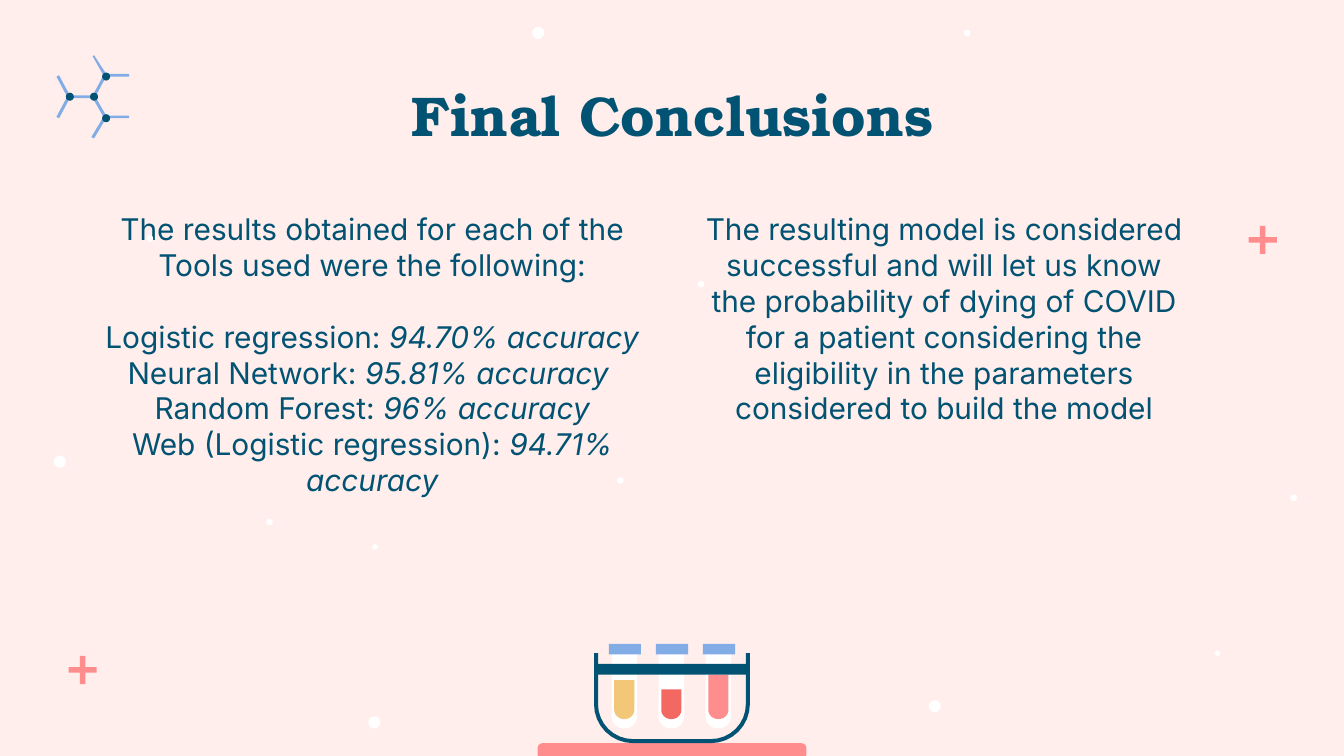
from dataclasses import dataclass
from math import cos, pi, sin

from lxml.etree import SubElement
from pptx import Presentation
from pptx.dml.color import RGBColor
from pptx.enum.shapes import MSO_SHAPE
from pptx.enum.text import MSO_ANCHOR, MSO_AUTO_SIZE, PP_ALIGN
from pptx.oxml.ns import qn
from pptx.util import Inches, Pt


@dataclass(frozen=True)
class Theme:
    back: str = "FFEEEB"
    ink: str = "025373"
    blue: str = "81ACE6"
    pink: str = "FF8D8D"
    red: str = "F46862"
    gold: str = "F2C777"
    white: str = "FFFFFF"
    head: str = "TeX Gyre Bonum"
    text: str = "Inter"
    head_size: float = 30
    text_size: float = 16
    gap: float = 19.2


def cup(left, top, right, low, r):
    """Points of a U: down the left side, round both corners, up the right."""
    turns = [k * pi / 16 for k in range(9)]
    first = [(left + r - r * cos(a), low - r + r * sin(a)) for a in turns]
    last = [(right - r + r * sin(a), low - r + r * cos(a)) for a in turns]
    return [(left, top), *first, *last, (right, top)]


class Board:
    def __init__(self, slide, theme):
        self.slide, self.theme = slide, theme
        self.shapes = slide.shapes
        fill = slide.background.fill
        fill.solid()
        fill.fore_color.rgb = RGBColor.from_string(theme.back)

    def paint(self, shape, color):
        shape.shadow.inherit = False
        shape.fill.solid()
        shape.fill.fore_color.rgb = RGBColor.from_string(color)
        shape.line.fill.background()
        return shape

    def block(self, kind, x, y, w, h, color, adjust=None):
        shape = self.shapes.add_shape(kind, Inches(x), Inches(y), Inches(w), Inches(h))
        if adjust is not None:
            shape.adjustments[0] = adjust
        return self.paint(shape, color)

    def dot(self, x, y, size, color):
        return self.block(MSO_SHAPE.OVAL, x, y, size, size, color)

    def bar(self, x, y, w, h, color):
        return self.block(MSO_SHAPE.RECTANGLE, x, y, w, h, color)

    def outline(self, points, color):
        spots = [(Inches(x), Inches(y)) for x, y in points]
        pen = self.shapes.build_freeform(*spots[0])
        pen.add_line_segments(spots[1:], close=True)
        return self.paint(pen.convert_to_shape(), color)

    def tube(self, x, level, color):
        self.outline(cup(x, 4.85, x + 0.19, 5.42, 0.09), self.theme.white)
        self.outline(cup(x + 0.02, level, x + 0.17, 5.35, 0.07), color)
        self.bar(x - 0.02, 4.79, 0.24, 0.08, self.theme.blue)

    def place(self, holder, x, y, w, h, anchor):
        holder.left, holder.top = Inches(x), Inches(y)
        holder.width, holder.height = Inches(w), Inches(h)
        self.shapes._spTree.append(holder._element)  # bring above the backdrop
        frame = holder.text_frame
        frame.word_wrap, frame.auto_size = True, MSO_AUTO_SIZE.NONE
        frame.vertical_anchor = anchor
        frame.margin_left = frame.margin_right = Inches(0.1)
        frame.margin_top = frame.margin_bottom = Inches(0.1)
        return frame

    def run(self, para, text, name, size, bold=False, italic=False):
        run = para.add_run()
        run.text = text
        font = run.font
        font.name, font.size = name, Pt(size)
        font.bold, font.italic = bold, italic
        font.color.rgb = RGBColor.from_string(self.theme.ink)

    def title(self, text, *box):
        frame = self.place(self.shapes.title, *box, MSO_ANCHOR.BOTTOM)
        para = frame.paragraphs[0]
        para.alignment = PP_ALIGN.CENTER
        self.run(para, text, self.theme.head, self.theme.head_size, bold=True)

    def body(self, index, lines, *box):
        """Each line is (plain text, italic text, space before)."""
        frame = self.place(self.slide.placeholders[index], *box, MSO_ANCHOR.TOP)
        for k, (plain, slant, gap) in enumerate(lines):
            para = frame.add_paragraph() if k else frame.paragraphs[0]
            props = para._p.get_or_add_pPr()
            props.set("marL", "0")
            props.set("indent", "0")
            SubElement(props, qn("a:buNone"))
            para.alignment = PP_ALIGN.CENTER
            para.space_before = Pt(gap)
            self.run(para, plain, self.theme.text, self.theme.text_size)
            if slant:
                self.run(para, slant, self.theme.text, self.theme.text_size, italic=True)


def main():
    deck = Presentation()
    deck.slide_width, deck.slide_height = Inches(10), Inches(10 * 9 / 16)
    theme = Theme()
    board = Board(deck.slides.add_slide(deck.slide_layouts[3]), theme)

    # Backdrop dots and plus signs
    for x, y, size in [
        (7.17, 0.22, 0.05), (9.04, 4.84, 0.04), (2.77, 4.05, 0.04),
        (2.74, 5.33, 0.09), (9.6, 3.68, 0.05), (6.91, 5.21, 0.09),
        (3.96, 0.2, 0.09), (0.4, 3.39, 0.09), (1.98, 3.86, 0.05),
    ]:
        board.dot(x, y, size, theme.white)
    for x, y in [(0.51, 4.88), (9.29, 1.68)]:
        board.block(MSO_SHAPE.CROSS, x, y, 0.21, 0.21, theme.pink, 0.4)

    # Molecule: bonds, then atoms
    board.outline([
        (0.42, 0.87), (0.44, 0.88), (0.52, 0.73), (0.69, 0.73), (0.77, 0.87),
        (0.68, 1.02), (0.7, 1.03), (0.79, 0.88), (0.96, 0.88), (0.96, 0.86),
        (0.79, 0.86), (0.71, 0.72), (0.79, 0.57), (0.96, 0.57), (0.96, 0.55),
        (0.79, 0.55), (0.7, 0.41), (0.69, 0.42), (0.77, 0.56), (0.69, 0.71),
        (0.52, 0.71), (0.44, 0.56), (0.42, 0.57), (0.5, 0.72),
    ], theme.blue)
    for x, y in [(0.76, 0.85), (0.67, 0.69), (0.49, 0.69), (0.76, 0.54)]:
        board.dot(x, y, 0.06, theme.ink)

    # Text
    board.body(1, [
        ("The results obtained for each of the Tools used were the following:", "", 0),
        ("Logistic regression: ", "94.70% accuracy", theme.gap),
        ("Neural Network:", " 95.81% accuracy ", 0),
        ("Random Forest: ", "96% accuracy", 0),
        ("Web (Logistic regression): ", "94.71% accuracy", 0),
    ], 0.62, 1.47, 4.3, 2.97)
    board.body(2, [
        ("The resulting model is considered successful and will let us know "
         "the probability of dying of COVID for a patient considering the "
         "eligibility in the parameters considered to build the model", "", 0),
    ], 5.14, 1.47, 3.77, 2.97)
    board.title("Final Conclusions", 0.79, 0.59, 8.43, 0.61)

    # Dots in front of the text
    for x, y in [(4.59, 3.55), (1.09, 1.75), (5.19, 2.09)]:
        board.dot(x, y, 0.05, theme.white)

    # Table top and test tubes in their rack
    board.block(MSO_SHAPE.ROUNDED_RECTANGLE, 4, 5.53, 2, 0.12, theme.pink, 0.3)
    fills = [(5.06, theme.gold), (5.13, theme.red), (5.02, theme.pink)]
    for k, (level, color) in enumerate(fills):
        board.tube(4.55 + 0.35 * k, level, color)
    outer = cup(4.42, 4.86, 5.58, 5.53, 0.29)
    inner = cup(4.45, 4.86, 5.55, 5.5, 0.26)
    board.outline(outer + inner[::-1], theme.ink)
    board.bar(4.45, 4.94, 1.1, 0.08, theme.ink)

    deck.save("out.pptx")


if __name__ == "__main__":
    main()
